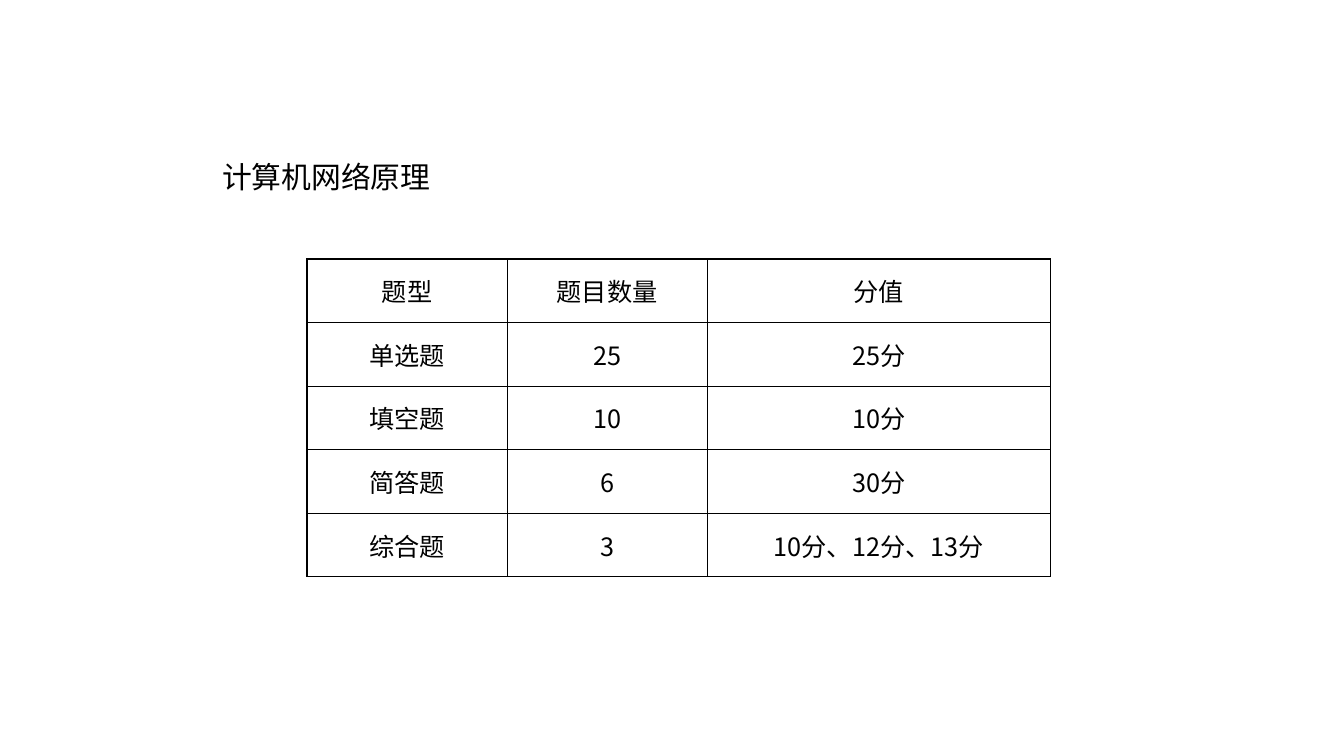
from dataclasses import dataclass

from lxml import etree
from pptx import Presentation
from pptx import util as u
from pptx.dml.color import RGBColor
from pptx.enum import text
from pptx.oxml import ns

# Content
SUBJECT = "计算机网络原理"
QUESTION_TYPES = [
    ("题型", "题目数量", "分值"),
    ("单选题", "25", "25分"),
    ("填空题", "10", "10分"),
    ("简答题", "6", "30分"),
    ("综合题", "3", "10分、12分、13分"),
]

# Layout in px
PX = 914400 / 100.8
SUBJECT_BOX = (212, 154, 555, 46)
TABLE_LEFT, TABLE_TOP, TABLE_HEIGHT = 307, 259, 318
COLUMN_WIDTHS = (200, 200, 343)


@dataclass(frozen=True)
class Theme:
    ink: str = "000000"
    heading_font: str = "Arial"
    cjk_font: str = "Noto Sans CJK SC"
    heading_size: float = 21.3
    cell_size: float = 18
    border: float = 1


THEME = Theme()


def px(length):
    return u.Emu(round(length * PX))


def style(paragraph, font_name, size, align):
    paragraph.alignment = align
    for run in paragraph.runs:
        run.font.name = font_name
        run.font.size = u.Pt(size)
        run.font.color.rgb = RGBColor.from_string(THEME.ink)
        east_asian = etree.SubElement(run.font._element, ns.qn("a:ea"))
        east_asian.set("typeface", THEME.cjk_font)


def add_borders(cell):
    properties = cell._tc.get_or_add_tcPr()
    for position, side in enumerate(("lnL", "lnR", "lnT", "lnB")):
        line = etree.Element(ns.qn(f"a:{side}"), w=str(u.Pt(THEME.border)))
        fill = etree.SubElement(line, ns.qn("a:solidFill"))
        etree.SubElement(fill, ns.qn("a:srgbClr"), val=THEME.ink)
        properties.insert(position, line)


def add_subject(slide):
    subject = slide.shapes.title
    subject.left, subject.top, subject.width, subject.height = map(px, SUBJECT_BOX)
    frame = subject.text_frame
    frame.text = SUBJECT
    frame.word_wrap = True
    frame.auto_size = text.MSO_AUTO_SIZE.NONE
    frame.vertical_anchor = text.MSO_ANCHOR.MIDDLE
    style(frame.paragraphs[0], THEME.heading_font, THEME.heading_size, text.PP_ALIGN.LEFT)


def add_question_types(slide):
    table = slide.shapes.add_table(
        len(QUESTION_TYPES), len(COLUMN_WIDTHS), px(TABLE_LEFT), px(TABLE_TOP),
        px(sum(COLUMN_WIDTHS)), px(TABLE_HEIGHT)).table
    table.first_row = table.horz_banding = False
    for column, width in zip(table.columns, COLUMN_WIDTHS):
        column.width = px(width)
    for row, values in zip(table.rows, QUESTION_TYPES):
        row.height = px(TABLE_HEIGHT / len(QUESTION_TYPES))
        for cell, value in zip(row.cells, values):
            cell.text_frame.text = value
            cell.vertical_anchor = text.MSO_ANCHOR.MIDDLE
            cell.fill.background()
            add_borders(cell)
            style(cell.text_frame.paragraphs[0], THEME.cjk_font, THEME.cell_size,
                  text.PP_ALIGN.CENTER)


def main():
    deck = Presentation()
    deck.slide_width, deck.slide_height = u.Inches(13.33), u.Inches(7.5)
    slide = deck.slides.add_slide(deck.slide_layouts.get_by_name("Title Only"))
    add_subject(slide)
    add_question_types(slide)
    deck.save("out.pptx")


if __name__ == "__main__":
    main()
